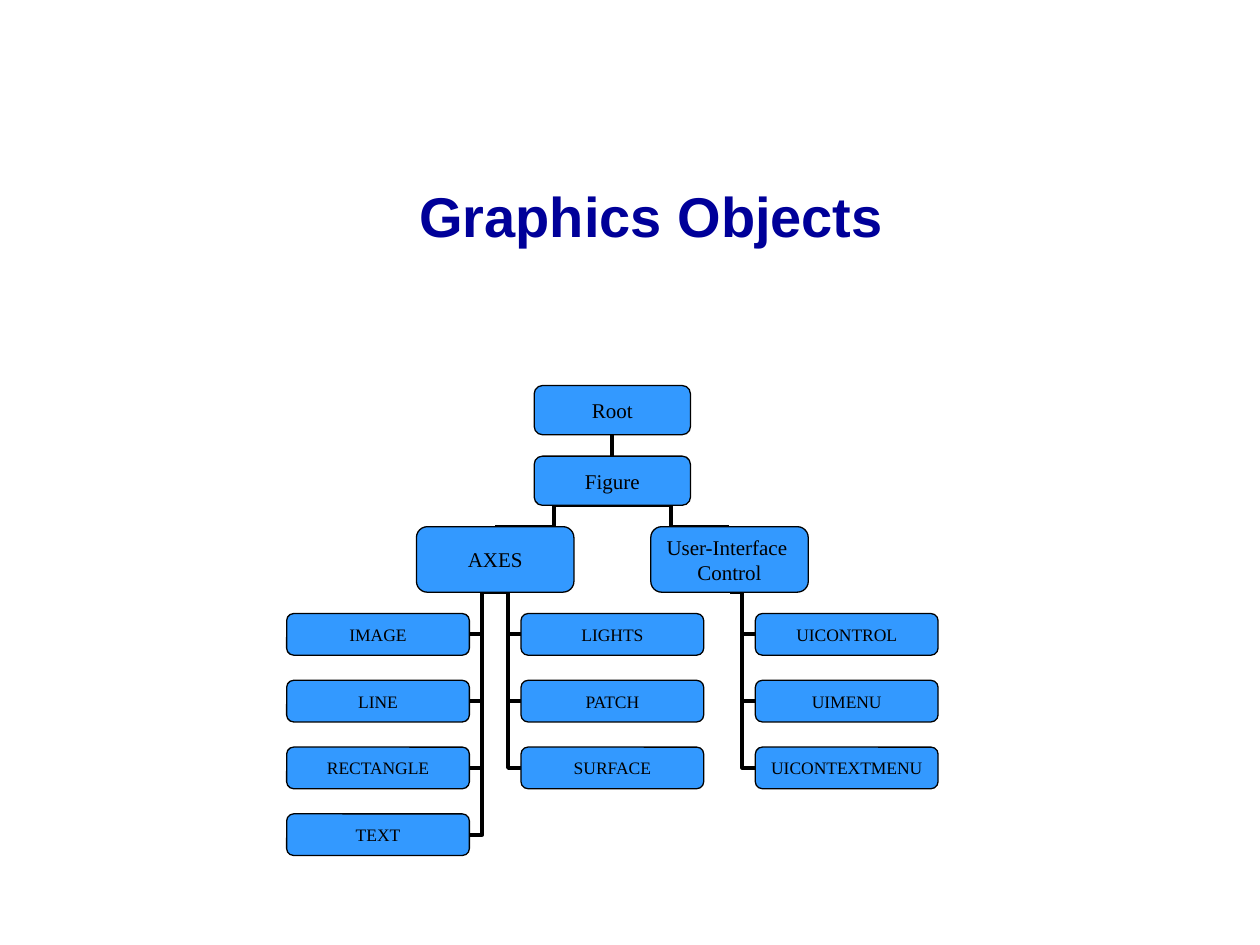
import pptx
import pptx.dml.color
import pptx.enum.shapes
import pptx.enum.text
import pptx.oxml
import pptx.util

# Content: name, lines of text, parent, tier, column (half steps from centre), row in tier
TITLE = "Graphics Objects"
TRUNK = [
    ("root", ["Root"], None, "top", 0, 0),
    ("figure", ["Figure"], "root", "top", 0, 1),
    ("axes", ["AXES"], "figure", "branch", -1, 0),
    ("interface", ["User-Interface ", "Control"], "figure", "branch", 1, 0),
]
LEAVES = [
    ("axes", -2, ["IMAGE", "LINE", "RECTANGLE", "TEXT"]),
    ("axes", 0, ["LIGHTS", "PATCH", "SURFACE"]),
    ("interface", 2, ["UICONTROL", "UIMENU", "UICONTEXTMENU"]),
]
NODES = TRUNK + [
    (label, [label], parent, "leaf", column, row)
    for parent, column, labels in LEAVES
    for row, label in enumerate(labels)
]

THEME = {
    "title": {"name": "Arial", "size": 32, "color": "000099", "bold": True},
    "node": {"name": "Times New Roman", "size": 12, "color": "000000", "bold": False},
    "leaf": {"name": "Times New Roman", "size": 10, "color": "000000", "bold": False},
    "fill": "3399FF", "line": "000000", "outline": 0.75, "link": 2.25,
}

# Grid in inches: centre column, half step, and each tier's first top, row step and box
CENTRE, STEP = 4.86, 0.93
TITLE_BOX = (0.92, 1.31, 8.5, 0.79)
TIERS = {
    "top": {"top": 3.06, "pitch": 0.56, "size": (1.24, 0.39), "inset": (0.06, 0.03)},
    "branch": {"top": 4.18, "pitch": 0, "size": (1.25, 0.52), "inset": (0.07, 0.03)},
    "leaf": {"top": 4.87, "pitch": 0.53, "size": (1.45, 0.33), "inset": (0.1, 0.05)},
}


def inches(*values):
    return [pptx.util.Inches(value) for value in values]


def rgb(value):
    return pptx.dml.color.RGBColor.from_string(value)


def write(box, lines, style, inset, wrap):
    frame = box.text_frame
    across, down = inches(*inset)
    layout = {
        "margin_left": across, "margin_right": across,
        "margin_top": down, "margin_bottom": down, "word_wrap": wrap,
        "vertical_anchor": pptx.enum.text.MSO_ANCHOR.MIDDLE,
    }
    for name, value in layout.items():
        setattr(frame, name, value)
    for index, line in enumerate(lines):
        para = frame.add_paragraph() if index else frame.paragraphs[0]
        para.alignment = pptx.enum.text.PP_ALIGN.CENTER
        span = para.add_run()
        span.text = line
        font = {"name": style["name"], "bold": style["bold"],
                "size": pptx.util.Pt(style["size"])}
        for name, value in font.items():
            setattr(span.font, name, value)
        span.font.color.rgb = rgb(style["color"])


def place(tier, column, row):
    rule = TIERS[tier]
    width, height = rule["size"]
    left = CENTRE + column * STEP - width / 2
    return left, rule["top"] + row * rule["pitch"], width, height


def link(chart, start, end):
    line = chart.shapes.add_connector(
        pptx.enum.shapes.MSO_CONNECTOR.ELBOW, *inches(*start, *end))
    line.line.color.rgb = rgb(THEME["line"])
    line.line.width = pptx.util.Pt(THEME["link"])
    properties = line.element.spPr
    properties.append(properties.makeelement(pptx.oxml.ns.qn("a:effectLst"), {}))


def add_node(chart, lines, tier, area):
    box = chart.shapes.add_shape(
        pptx.enum.shapes.MSO_SHAPE.ROUNDED_RECTANGLE, *inches(*area))
    box.shadow.inherit = False
    box.fill.solid()
    box.fill.fore_color.rgb = rgb(THEME["fill"])
    box.line.color.rgb = rgb(THEME["line"])
    box.line.width = pptx.util.Pt(THEME["outline"])
    style = THEME["leaf" if tier == "leaf" else "node"]
    write(box, lines, style, TIERS[tier]["inset"], False)


def main():
    deck = pptx.Presentation()
    deck.slide_width, deck.slide_height = inches(10, 7.5)
    page = deck.slides.add_slide(deck.slide_layouts[6])

    # Title
    heading = page.shapes.add_textbox(*inches(*TITLE_BOX))
    write(heading, [TITLE], THEME["title"], (0.1, 0.05), True)

    # Links first, so the boxes lie over them
    chart = page.shapes.add_group_shape()
    areas = {name: place(*spot) for name, _, _, *spot in NODES}
    for name, _, parent, tier, column, _ in NODES:
        if parent is None:
            continue
        left, top, width, height = areas[name]
        above_left, above_top, above_width, above_height = areas[parent]
        joint = above_left + above_width / 2, above_top + above_height
        if tier == "leaf":
            side = left + width if left < above_left else left
            start = side, top + height / 2
        else:
            start = left + width / 2, top
        link(chart, start, joint)

    # Boxes
    for name, lines, _, tier, *_ in NODES:
        add_node(chart, lines, tier, areas[name])

    deck.save("out.pptx")


if __name__ == "__main__":
    main()
